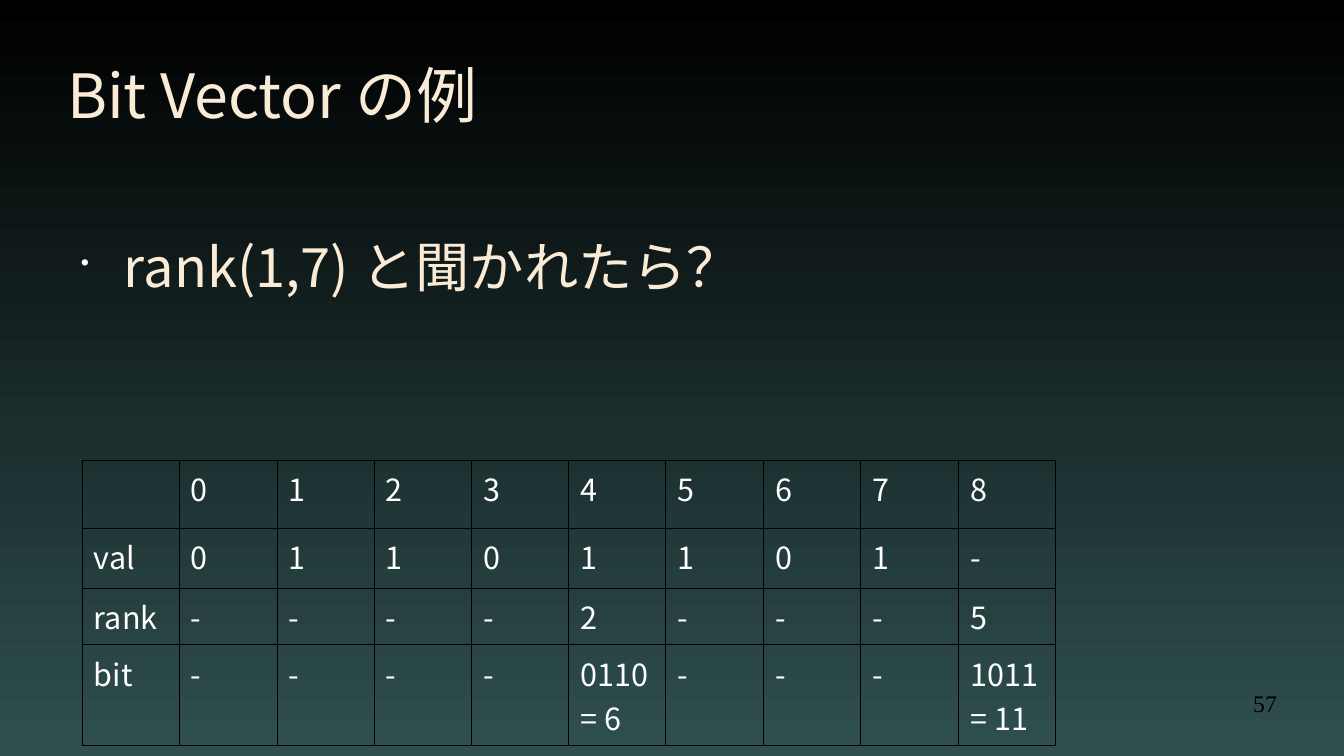
from dataclasses import dataclass

from lxml.etree import SubElement
from pptx import Presentation
from pptx.dml.color import RGBColor
from pptx.enum.text import MSO_ANCHOR as Anchor, MSO_AUTO_SIZE as AutoSize, PP_ALIGN as Align
from pptx.oxml.ns import qn
from pptx.util import Emu, Pt

EMU_PER_PX = 7495
SANS = "Noto Sans CJK JP"
SERIF = "Times New Roman"
CREAM = "FAEBD7"
WHITE = "FFFFFF"
BLACK = "000000"
SLATE = "2F4F4F"


@dataclass(frozen=True)
class Box:
    left: int
    top: int
    width: int
    height: int


SLIDE_BOX = Box(0, 0, 1344, 756)
TITLE_BOX = Box(67, 31, 721, 127)
QUESTION_BOX = Box(67, 201, 1210, 529)
TABLE_BOX = Box(82, 460, 974, 285)
NUMBER_BOX = Box(964, 689, 313, 53)

ROW_HEIGHTS = [68, 60, 57, 100]
BIT_ROWS = [
    ["", *"012345678"],
    ["val", *"01101101-"],
    ["rank", *"----2---5"],
    ["bit", *"----", "0110\n= 6", *"---", "1011\n= 11"],
]


def px(length: int) -> Emu:
    return Emu(length * EMU_PER_PX)


def color(value: str) -> RGBColor:
    return RGBColor.from_string(value)


def place(shape, box: Box) -> None:
    shape.left, shape.top = px(box.left), px(box.top)
    shape.width, shape.height = px(box.width), px(box.height)


def write(text_frame, text: str, *, size: int, fill: str, font: str = SANS,
          align: Align = Align.LEFT):
    paragraph = text_frame.paragraphs[0]
    paragraph.text = text
    paragraph.alignment = align
    for run in paragraph.runs:
        run.font.size = Pt(size)
        run.font.name = font
        run.font.color.rgb = color(fill)
        SubElement(run.font._element, qn("a:ea"), typeface=font)
    return paragraph


def prepare_frame(text_frame, anchor: Anchor) -> None:
    text_frame.margin_left = text_frame.margin_right = 0
    text_frame.margin_top = text_frame.margin_bottom = 0
    text_frame.word_wrap = True
    text_frame.auto_size = AutoSize.NONE
    text_frame.vertical_anchor = anchor


def add_text_box(slide, box: Box):
    shape = slide.shapes.add_textbox(0, 0, 0, 0)
    place(shape, box)
    prepare_frame(shape.text_frame, Anchor.TOP)
    return shape.text_frame


def add_bullet(paragraph) -> None:
    properties = paragraph._p.get_or_add_pPr()
    properties.set("marL", str(px(57)))
    properties.set("indent", str(px(-43)))
    bullet_color = SubElement(properties, qn("a:buClr"))
    SubElement(bullet_color, qn("a:srgbClr"), val=WHITE)
    SubElement(properties, qn("a:buSzPct"), val="45000")
    SubElement(properties, qn("a:buChar"), char="•")


def add_borders(cell) -> None:
    properties = cell._tc.get_or_add_tcPr()
    for side in ("lnL", "lnR", "lnT", "lnB"):
        line = SubElement(properties, qn(f"a:{side}"), w=str(Pt(0.57)))
        fill = SubElement(line, qn("a:solidFill"))
        SubElement(fill, qn("a:srgbClr"), val=BLACK)


def add_bit_table(slide, box: Box, rows: list[list[str]]) -> None:
    count = len(rows[0])
    frame = slide.shapes.add_table(len(rows), count, 0, 0, px(box.width), px(box.height))
    frame.left, frame.top = px(box.left), px(box.top)
    table = frame.table
    table.first_row = table.horz_banding = False
    edges = [round(box.width * index / count) for index in range(count + 1)]
    for column, start, end in zip(table.columns, edges, edges[1:]):
        column.width = px(end - start)
    for row, height, texts in zip(table.rows, ROW_HEIGHTS, rows):
        row.height = px(height)
        for cell, text in zip(row.cells, texts):
            cell.margin_left = cell.margin_right = px(12)
            cell.margin_top = cell.margin_bottom = px(6)
            add_borders(cell)
            cell.fill.background()
            write(cell.text_frame, text, size=18, fill=WHITE)


def paint_background(slide) -> None:
    fill = slide.background.fill
    fill.gradient()
    fill.gradient_angle = 270
    for stop, position, value in zip(fill.gradient_stops, (0, 1), (BLACK, SLATE)):
        stop.position = position
        stop.color.rgb = color(value)


def main() -> None:
    presentation = Presentation()
    presentation.slide_width = px(SLIDE_BOX.width)
    presentation.slide_height = px(SLIDE_BOX.height)
    slide = presentation.slides.add_slide(presentation.slide_layouts[5])
    paint_background(slide)

    title = slide.shapes.title
    place(title, TITLE_BOX)
    prepare_frame(title.text_frame, Anchor.MIDDLE)
    write(title.text_frame, "Bit Vector の例", size=36, fill=CREAM)

    question = write(add_text_box(slide, QUESTION_BOX), "rank(1,7) と聞かれたら？",
                     size=32, fill=CREAM)
    question.line_spacing = 1.5
    add_bullet(question)

    add_bit_table(slide, TABLE_BOX, BIT_ROWS)
    write(add_text_box(slide, NUMBER_BOX), "57", size=14, fill=BLACK, font=SERIF,
          align=Align.RIGHT)
    presentation.save("out.pptx")


if __name__ == "__main__":
    main()
